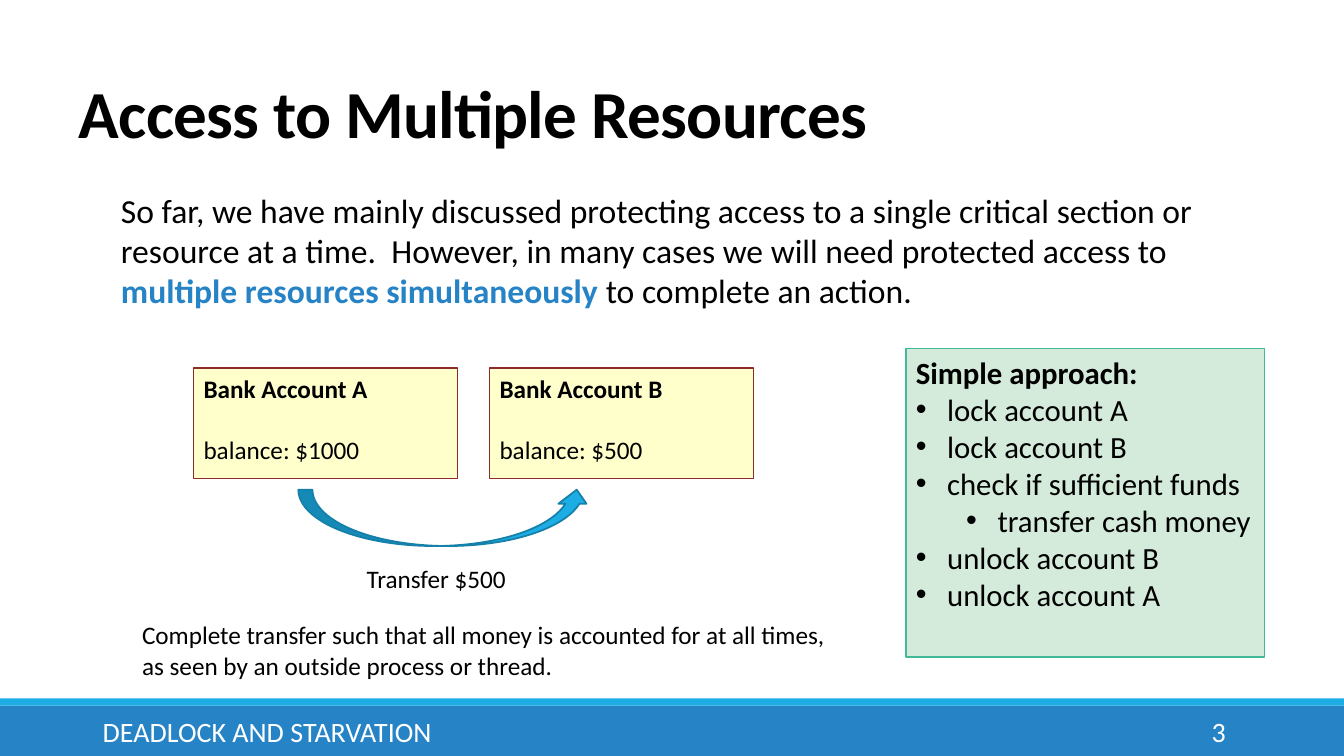
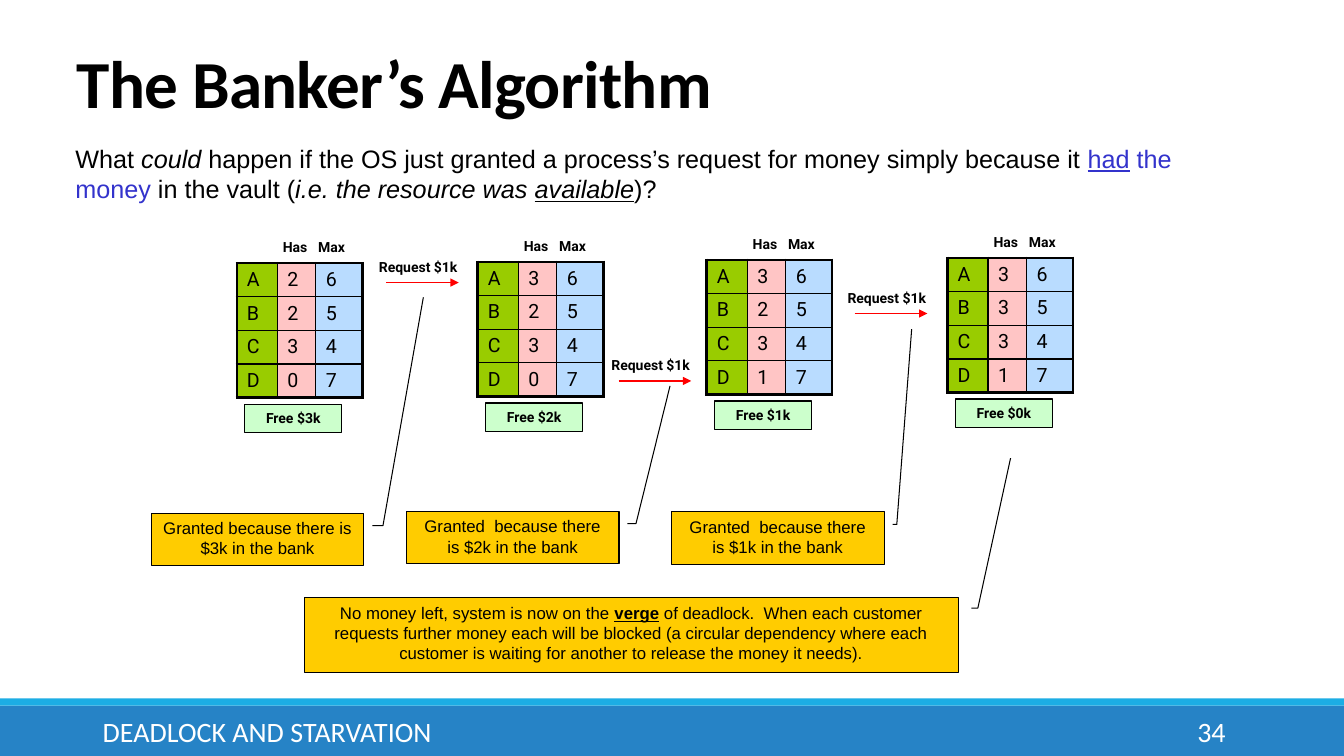
from lxml import etree
from pptx import Presentation
from pptx import util as u
from pptx.dml import color
from pptx.enum import shapes, text
from pptx.oxml import ns

BLACK, WHITE, RED = "000000", "FFFFFF", "FF0000"
BLUE, CYAN, LINK_BLUE = "2683C6", "1CADE4", "3333CC"
COLUMN_FILLS = ("99CC00", "FFC5C5", "B9DCFF")
COLUMN_WIDTHS = (1.02, 0.97, 1.17)
ROW_HEIGHT = 0.84
SLIDE_WIDTH, SLIDE_HEIGHT = 33.87, 19.05
CENTER, RIGHT = text.PP_ALIGN.CENTER, text.PP_ALIGN.RIGHT
RECTANGLE = shapes.MSO_SHAPE.RECTANGLE


def rgb(value):
    """Turn a hex string into a colour."""
    return color.RGBColor.from_string(value)


def lengths(*values):
    """Turn centimetre values into lengths."""
    return [u.Cm(value) for value in values]


def add_runs(paragraph, runs, size, font="Calibri", fill=BLACK):
    """Add runs given as (text, overrides) pairs in a common base style."""
    for content, changes in runs:
        run = paragraph.add_run()
        run.text = content
        run.font.name = font
        run.font.size = u.Pt(size)
        run.font.color.rgb = rgb(changes.get("fill", fill))
        run.font.bold = changes.get("bold", False)
        run.font.italic = changes.get("italic", False)
        run.font.underline = changes.get("underline", False)


def fill_frame(shape, paragraphs, size, align=text.PP_ALIGN.LEFT, wrap=True,
               anchor=text.MSO_ANCHOR.TOP, **style):
    """Write paragraphs, each a list of runs, into a shape and return them."""
    frame = shape.text_frame
    frame.word_wrap = wrap
    frame.vertical_anchor = anchor
    written = []
    for index, runs in enumerate(paragraphs):
        paragraph = frame.add_paragraph() if index else frame.paragraphs[0]
        paragraph.alignment = align
        add_runs(paragraph, runs, size, **style)
        written.append(paragraph)
    return written


def add_text(slide, box, paragraphs, size, **style):
    """Add a text box."""
    shape = slide.shapes.add_textbox(*lengths(*box))
    fill_frame(shape, paragraphs, size, **style)
    return shape


def add_block(slide, box, fill, line=None, width=1, kind=RECTANGLE):
    """Add a flat filled shape, outlined when a line colour is given."""
    shape = slide.shapes.add_shape(kind, *lengths(*box))
    shape.shadow.inherit = False
    shape.fill.solid()
    shape.fill.fore_color.rgb = rgb(fill)
    if line:
        shape.line.color.rgb = rgb(line)
        shape.line.width = u.Pt(width)
    else:
        shape.line.fill.background()
    return shape


def add_base_slide(presentation, title, left, top, number):
    """Add a slide with its title, bottom bands and footer."""
    slide = presentation.slides.add_slide(presentation.slide_layouts[5])
    heading = slide.shapes.title
    heading.left, heading.top, heading.width, heading.height = lengths(left, top, 27.94, 2.16)
    paragraph, = fill_frame(heading, [[(title, {"bold": True})]], 48,
                            anchor=text.MSO_ANCHOR.BOTTOM)
    heading.text_frame.auto_size = text.MSO_AUTO_SIZE.NONE
    paragraph.line_spacing = 0.85
    paragraph.runs[0].font._element.set("spc", "-50")
    add_block(slide, (0, 17.78, SLIDE_WIDTH, 1.27), BLUE)
    add_block(slide, (0, 17.6, SLIDE_WIDTH, 0.18), CYAN)
    footer = {"fill": WHITE, "anchor": text.MSO_ANCHOR.MIDDLE}
    add_text(slide, (2.34, 17.93, 21.31, 1.02), [[("DEADLOCK AND STARVATION", {})]], 20, **footer)
    add_text(slide, (27.51, 17.93, 3.63, 1.02), [[(str(number), {})]], 20, align=RIGHT, **footer)
    return slide


def add_account(slide, left, top, name, balance):
    """Add a bank account card."""
    card = add_block(slide, (left, top, 6.65, 2.79), "FFFFCC", "8D2B2B", 1.25)
    lines = [[(f"Bank Account {name}", {"bold": True})], [(f"balance: ${balance}", {})]]
    fill_frame(card, lines, 18)[1].space_before = u.Pt(22)


def add_bullet(paragraph, level):
    """Give a paragraph a hanging bullet."""
    paragraph.level = level
    properties = paragraph._p.get_or_add_pPr()
    properties.set("marL", str(u.Cm(0.79 + 1.27 * level)))
    properties.set("indent", str(u.Cm(-0.79)))
    etree.SubElement(properties, ns.qn("a:buFont")).set("typeface", "Arial")
    etree.SubElement(properties, ns.qn("a:buChar")).set("char", "•")


def add_approach(slide, box):
    """Add the panel listing the steps of the simple approach."""
    steps = [("lock account A", 0), ("lock account B", 0), ("check if sufficient funds", 0),
             ("transfer cash money", 1), ("unlock account B", 0), ("unlock account A", 0)]
    panel = add_block(slide, box, "D4EBDB", "42BA97")
    lines = [[("Simple approach:", {"bold": True})]] + [[(step, {})] for step, _ in steps]
    paragraphs = fill_frame(panel, lines, 22, wrap=False)
    for paragraph, (_, level) in zip(paragraphs[1:], steps):
        add_bullet(paragraph, level)


def add_border(cell, edge, width):
    """Draw one black edge of a cell."""
    line = etree.SubElement(cell._tc.get_or_add_tcPr(), ns.qn(f"a:ln{edge}"), w=str(u.Pt(width)))
    fill = etree.SubElement(line, ns.qn("a:solidFill"))
    etree.SubElement(fill, ns.qn("a:srgbClr"), val=BLACK)


def add_loan_table(slide, left, top, rows):
    """Add the grid of customers with what they have and their maximum."""
    last_row, last_column = len(rows) - 1, len(COLUMN_WIDTHS) - 1
    box = lengths(left, top, sum(COLUMN_WIDTHS), ROW_HEIGHT * len(rows))
    table = slide.shapes.add_table(len(rows), len(COLUMN_WIDTHS), *box).table
    table.first_row = table.horz_banding = False
    for column, width in zip(table.columns, COLUMN_WIDTHS):
        column.width = u.Cm(width)
    for row_index, row in enumerate(rows):
        table.rows[row_index].height = u.Cm(ROW_HEIGHT)
        for column_index, value in enumerate(row):
            cell = table.cell(row_index, column_index)
            outer = {"L": column_index == 0, "R": column_index == last_column,
                     "T": row_index == 0, "B": row_index == last_row}
            for edge, thick in outer.items():
                add_border(cell, edge, 2.25 if thick else 1)
            cell.fill.solid()
            cell.fill.fore_color.rgb = rgb(COLUMN_FILLS[column_index])
            add_runs(cell.text_frame.paragraphs[0], [(str(value), {})], 14, font="Roboto")


def add_bank_state(slide, left, top, holdings, free):
    """Add one state of the bank: headings, loan table and free money."""
    for heading, offset in (("Has", 0.91), ("Max", 1.8)):
        add_text(slide, (left + offset, top - 0.74, 1.37, 0.69),
                 [[(heading, {"bold": True})]], 10, font="Roboto")
    add_loan_table(slide, left, top, list(zip("ABCD", holdings, (6, 5, 4, 7))))
    label = add_block(slide, (left + 0.2, top + 3.56, 2.44, 0.71), "CCFFCC", BLACK)
    fill_frame(label, [[(f"Free ${free}k", {"bold": True})]], 10, align=CENTER, font="Roboto")


def add_request(slide, left, top):
    """Add a request label with a red arrow below it."""
    add_text(slide, (left, top, 2.95, 0.69), [[("Request $1k", {"bold": True})]], 10,
             font="Roboto")
    start, height = left + 0.43, top + 0.74
    arrow = slide.shapes.add_connector(shapes.MSO_CONNECTOR.STRAIGHT,
                                       *lengths(start, height, start + 1.83, height))
    arrow.line.color.rgb = rgb(RED)
    arrow.line.width = u.Pt(1.25)
    etree.SubElement(arrow.line._get_or_add_ln(), ns.qn("a:tailEnd")).set("type", "triangle")
    etree.SubElement(arrow._element.spPr, ns.qn("a:effectLst"))


def add_callout(slide, box, runs, start, bend, tip):
    """Add a note whose leader starts level, bends and ends at the tip."""
    note = add_block(slide, box, "FFCC00", BLACK, 0.75, shapes.MSO_SHAPE.LINE_CALLOUT_2)
    start_x, start_y = start
    tip_x, tip_y = tip
    for index, value in enumerate((start_y, start_x, start_y, bend, tip_y, tip_x)):
        note.adjustments[index] = value
    fill_frame(note, [runs], 12, align=CENTER, font="Arial")


def build_resources(presentation):
    """Build the slide on access to multiple resources."""
    slide = add_base_slide(presentation, "Access to Multiple Resources", 1.73, 1.8, 3)
    intro = add_text(slide, (3.05, 4.65, 27.94, 3.33), [[
        ("So far, we have mainly discussed protecting access to a single critical section or "
         "resource at a time.  However, in many cases we will need protected access to ", {}),
        ("multiple resources simultaneously ", {"fill": BLUE, "bold": True}),
        ("to complete an action.", {})]], 24)
    intro.text_frame.margin_left = intro.text_frame.margin_right = 0
    for index, (name, balance) in enumerate((("A", 1000), ("B", 500))):
        add_account(slide, 4.88 + 7.46 * index, 9.27, name, balance)
    add_block(slide, (7.52, 12.34, 7.37, 1.42), CYAN, "1580A9", 1.25,
              shapes.MSO_SHAPE.CURVED_UP_ARROW)
    add_text(slide, (8.99, 14.07, 4.06, 1.02), [[("Transfer $500", {})]], 18, wrap=False)
    add_approach(slide, (22.83, 8.79, 9.04, 7.77))
    add_text(slide, (3.33, 15.49, 17.93, 1.8), [
        [("Complete transfer such that all money is accounted for at all times,", {})],
        [("as seen by an outside process or thread.", {})]], 18, wrap=False)


def build_banker(presentation):
    """Build the slide on the banker's algorithm."""
    slide = add_base_slide(presentation, "The Banker’s Algorithm", 1.68, 1.04, 34)
    add_text(slide, (1.65, 3.48, 28.14, 1.8), [[
        ("What ", {}), ("could", {"italic": True}),
        (" happen if the OS just granted a process’s request for money simply because it ", {}),
        ("had", {"fill": LINK_BLUE, "underline": True}),
        (" the money ", {"fill": LINK_BLUE}), ("in the vault (", {}),
        ("i.e. the resource was ", {"italic": True}),
        ("available", {"italic": True, "underline": True}), (")?", {})]], 18, font="Arial")
    states = [(5.97, 6.63, (2, 2, 3, 0), 3), (12.04, 6.6, (3, 2, 3, 0), 2),
              (17.81, 6.55, (3, 2, 3, 1), 1), (23.88, 6.5, (3, 3, 3, 1), 0)]
    for state in states:
        add_bank_state(slide, *state)
    for left, top in ((9.3, 6.38), (15.16, 8.86), (21.11, 7.16)):
        add_request(slide, left, top)
    grants = [(3.81, 12.93, "Granted because there is $3k in the bank", 1.09, (1.28, -4.12)),
              (10.24, 12.88, "Granted  because there is $2k in the bank", 1.08, (1.24, -2.39)),
              (16.92, 12.9, "Granted  because there is $1k in the bank", 1.06, (1.13, -3.49))]
    for left, top, reason, bend, tip in grants:
        add_callout(slide, (left, top, 5.36, 1.32), [(reason, {})], (1.04, 0.24), bend, tip)
    add_callout(slide, (7.67, 15.06, 16.48, 1.88), [
        ("No money left, system is now on the ", {}),
        ("verge", {"bold": True, "underline": True}),
        (" of deadlock.  When each customer requests further money each will be blocked "
         "(a circular dependency where each customer is waiting for another to release "
         "the money it needs).", {})], (1.02, 0.14), 1.03, (1.08, -1.87))


def main():
    """Build and save the presentation."""
    presentation = Presentation()
    presentation.slide_width, presentation.slide_height = lengths(SLIDE_WIDTH, SLIDE_HEIGHT)
    build_resources(presentation)
    build_banker(presentation)
    presentation.save("out.pptx")


if __name__ == "__main__":
    main()
